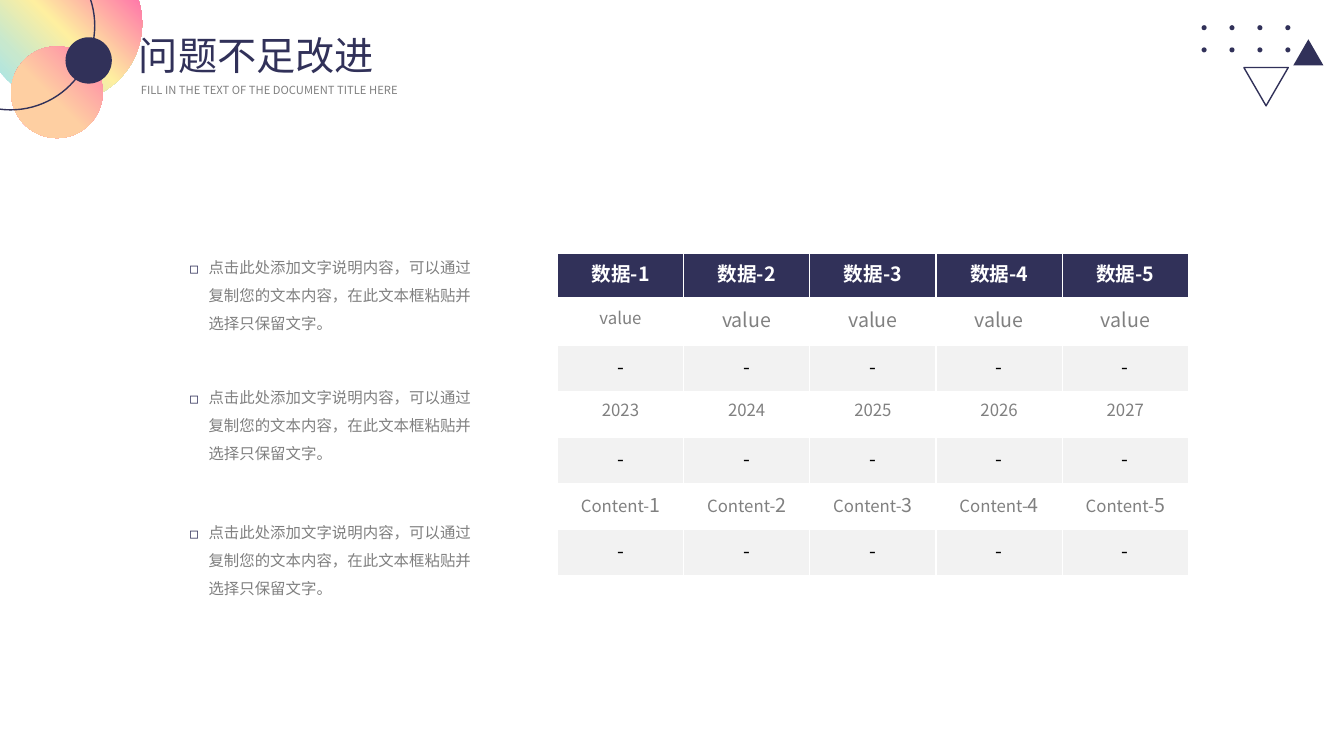
from dataclasses import dataclass

from lxml import etree
from pptx import Presentation
from pptx import util as u
from pptx.dml.color import RGBColor
from pptx.enum import shapes, text
from pptx.oxml import ns

COLORS = {
    "navy": "313159", "gray": "808080", "white": "FFFFFF", "band": "F2F2F2",
    "black": "000000", "aqua": "A3E4EC", "mint": "C7E8CE", "lemon": "FEEFA0",
    "pink": "FF7CA9", "peach": "FECFA2",
}
FONT = "Noto Sans CJK SC"
GRID_CELL = u.Inches(0.1)
COLUMNS, ROWS = 133.33, 75
OVAL = shapes.MSO_SHAPE.OVAL
TRIANGLE = shapes.MSO_SHAPE.ISOSCELES_TRIANGLE
HINT = "点击此处添加文字说明内容，可以通过复制您的文本内容，在此文本框粘贴并选择只保留文字。"
TABLE_COLUMNS = range(1, 6)


@dataclass(frozen=True)
class Area:
    column: float
    row: float
    width: float
    height: float

    def lengths(self) -> tuple[int, ...]:
        return tuple(cells(n) for n in (self.column, self.row, self.width, self.height))


@dataclass(frozen=True)
class Gradient:
    stops: tuple[tuple[int, str], ...]
    angle: int | None = None


@dataclass(frozen=True)
class Ornament:
    kind: shapes.MSO_SHAPE
    area: Area
    fill: str | Gradient | None = None
    line: str | None = None
    rotation: int = 0


@dataclass(frozen=True)
class Span:
    words: str
    size: int


@dataclass(frozen=True)
class Label:
    area: Area
    span: Span
    color: str
    align: text.PP_ALIGN = text.PP_ALIGN.LEFT
    wrap: bool = True
    bullet: bool = False


@dataclass(frozen=True)
class TableRow:
    fill: str
    color: str
    cells: list[list[Span]]
    bold: bool = False


RAINBOW = Gradient(((7, "aqua"), (25, "mint"), (48, "lemon"), (81, "pink")), 315)
SUNSET = Gradient(((44, "peach"), (100, "pink")))
ORNAMENTS = [
    Ornament(OVAL, Area(-1.6, -5.5, 15.7, 15.7), RAINBOW),
    *(Ornament(OVAL, Area(119.2 + 2.77 * i, 2.5 + 2.2 * j, 0.5, 0.5), "navy")
      for i in range(4) for j in range(2)),
    Ornament(OVAL, Area(1.1, 4.6, 9.1, 9.1), SUNSET),
    Ornament(OVAL, Area(6.5, 3.7, 4.6, 4.6), "navy"),
    Ornament(OVAL, Area(-7.3, -5.8, 16.7, 16.7), line="navy"),
    Ornament(TRIANGLE, Area(123.4, 6.7, 4.4, 3.8), line="navy", rotation=180),
    Ornament(TRIANGLE, Area(128.3, 3.9, 3, 2.6), "navy"),
]
LABELS = [
    Label(Area(12.8, 2.6, 27.9, 5.7), Span("问题不足改进", 28), "navy", text.PP_ALIGN.JUSTIFY),
    Label(Area(13, 7.8, 27.7, 2.4), Span("FILL IN THE TEXT OF THE DOCUMENT TITLE HERE", 8),
          "gray", wrap=False),
    *(Label(Area(17.8, row, 30.8, 8.9), Span(HINT, 11), "gray", bullet=True)
      for row in (24.2, 37.1, 50.5)),
]
DASHES = TableRow("band", "black", [[Span("-", 14)] for _ in TABLE_COLUMNS])
TABLE_ROWS = [
    TableRow("navy", "white", [[Span(f"数据-{n}", 14)] for n in TABLE_COLUMNS], True),
    TableRow("white", "gray", [[Span("value", 12 if n == 1 else 14)] for n in TABLE_COLUMNS]),
    DASHES,
    TableRow("white", "gray", [[Span(str(2022 + n), 12)] for n in TABLE_COLUMNS]),
    DASHES,
    TableRow("white", "gray", [[Span("Content-", 12), Span(str(n), 14)] for n in TABLE_COLUMNS]),
    DASHES,
]
TABLE_AREA = Area(55.3, 25.1, 62.6, 32)


def cells(count: float) -> int:
    return round(count * GRID_CELL)


def rgb(name: str) -> RGBColor:
    return RGBColor.from_string(COLORS[name])


def add_node(parent, tag: str, **attributes):
    values = {key: str(value) for key, value in attributes.items()}
    return etree.SubElement(parent, ns.qn(f"a:{tag}"), values)


def format_run(run, size: int, color: str, bold: bool = False) -> None:
    run.font.size = u.Pt(size)
    run.font.bold = bold
    run.font.color.rgb = rgb(color)
    run.font.name = FONT
    add_node(run.font._element, "ea", typeface=FONT)


def apply_gradient(shape, gradient: Gradient) -> None:
    shape.fill.background()
    empty = shape._element.spPr.find(ns.qn("a:noFill"))
    node = etree.Element(ns.qn("a:gradFill"), rotWithShape="1")
    stops = add_node(node, "gsLst")
    for place, color in gradient.stops:
        add_node(add_node(stops, "gs", pos=place * 1000), "srgbClr", val=COLORS[color])
    if gradient.angle is None:
        spread = add_node(node, "path", path="circle")
        add_node(spread, "fillToRect", l=0, t=100000, r=100000, b=0)
    else:
        add_node(node, "lin", ang=gradient.angle * 60000, scaled=0)
    empty.getparent().replace(empty, node)


def draw_ornament(page, ornament: Ornament) -> None:
    shape = page.shapes.add_shape(ornament.kind, *ornament.area.lengths())
    shape.shadow.inherit = False
    shape.rotation = ornament.rotation
    if isinstance(ornament.fill, Gradient):
        apply_gradient(shape, ornament.fill)
    elif ornament.fill:
        shape.fill.solid()
        shape.fill.fore_color.rgb = rgb(ornament.fill)
    else:
        shape.fill.background()
    if ornament.line:
        shape.line.color.rgb = rgb(ornament.line)
        shape.line.width = u.Pt(1)
    else:
        shape.line.fill.background()


def draw_label(page, label: Label) -> None:
    box = page.shapes.add_textbox(*label.area.lengths())
    frame = box.text_frame
    frame.text = label.span.words
    frame.word_wrap = label.wrap
    frame.auto_size = text.MSO_AUTO_SIZE.SHAPE_TO_FIT_TEXT
    para = frame.paragraphs[0]
    para.alignment = label.align
    if label.bullet:
        para.line_spacing = 1.5
        properties = para._p.get_or_add_pPr()
        properties.set("marL", str(cells(1.9)))
        properties.set("indent", str(cells(-1.9)))
        add_node(add_node(properties, "buClr"), "srgbClr", val=COLORS["navy"])
        add_node(properties, "buFont", typeface=FONT)
        add_node(properties, "buChar", char="◻")
    format_run(para.runs[0], label.span.size, label.color)


def draw_border(cell, side: str, points: int) -> None:
    line = add_node(cell._tc.get_or_add_tcPr(), f"ln{side}", w=u.Pt(points))
    add_node(add_node(line, "solidFill"), "srgbClr", val=COLORS["white"])


def fill_cell(cell, row: TableRow, spans: list[Span], borders: dict[str, int]) -> None:
    cell.margin_left = cell.margin_right = cells(1.1)
    cell.margin_top = cell.margin_bottom = cells(0.6)
    for side, points in borders.items():
        draw_border(cell, side, points)
    cell.fill.solid()
    cell.fill.fore_color.rgb = rgb(row.fill)
    para = cell.text_frame.paragraphs[0]
    para.alignment = text.PP_ALIGN.CENTER
    for span in spans:
        run = para.add_run()
        run.text = span.words
        format_run(run, span.size, row.color, row.bold)


def draw_table(page) -> None:
    count = len(TABLE_ROWS)
    table = page.shapes.add_table(count, len(TABLE_COLUMNS), *TABLE_AREA.lengths()).table
    table.horz_banding = False
    for i, row in enumerate(TABLE_ROWS):
        table.rows[i].height = cells(TABLE_AREA.height / count)
        borders = {"L": 1, "R": 1, "T": 3 if i == 1 else 1, "B": 3 if i == 0 else 1}
        for j, spans in enumerate(row.cells):
            fill_cell(table.cell(i, j), row, spans, borders)


def main() -> None:
    """Build the slide on problems and improvements."""
    deck = Presentation()
    deck.slide_width, deck.slide_height = cells(COLUMNS), cells(ROWS)
    page = deck.slides.add_slide(deck.slide_layouts[6])
    for ornament in ORNAMENTS:
        draw_ornament(page, ornament)
    for label in LABELS:
        draw_label(page, label)
    draw_table(page)
    deck.save("out.pptx")


if __name__ == "__main__":
    main()
